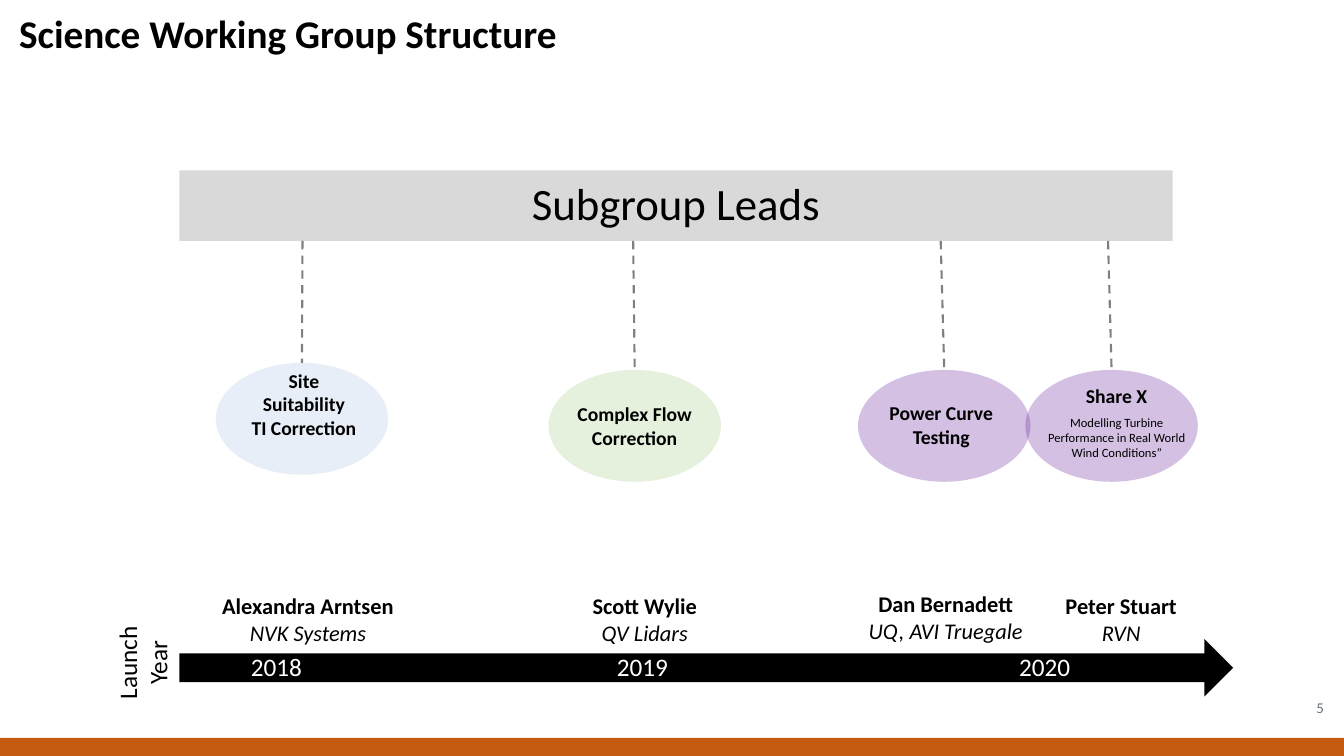
import pptx
import pptx.util
import pptx.dml.color
import pptx.enum.dml
import pptx.enum.shapes
import pptx.enum.text
from lxml import etree

Inches, Pt = pptx.util.Inches, pptx.util.Pt
SHAPE = pptx.enum.shapes.MSO_SHAPE
ALIGN = pptx.enum.text.PP_ALIGN
MIDDLE = pptx.enum.text.MSO_ANCHOR.MIDDLE

FONT = "Calibri"
COLORS = {
    "black": "000000", "white": "FFFFFF", "bar": "D9D9D9", "foot": "C55A11",
    "dash": "808080", "page": "6A737B",
    "blue": "B4C7E7", "green": "A9D18E", "purple": "7030A0",
}

TITLE = "Science Working Group Structure"
HEADING = "Subgroup Leads"
AXIS = "Launch Year"
PAGE = "5"
# oval left, oval top, colour, line start x, label box, label lines, note
GROUPS = [
    (2.14, 3.6, "blue", 3, (2.39, 3.61, 1.25, 0.81),
     ["Site", "Suitability", "TI Correction"], None),
    (5.44, 3.67, "green", 6.28, (5.45, 3.94, 1.69, 0.57),
     ["Complex Flow", "Correction"], None),
    (8.51, 3.67, "purple", 9.33, (8.49, 3.93, 1.69, 0.57),
     ["Power Curve Testing"], None),
    (10.17, 3.67, "purple", 10.99, (10.22, 3.76, 1.71, 0.88),
     ["Share X"], "Modelling Turbine Performance in Real World Wind Conditions”"),
]
# name, company, box
LEADS = [
    ("Alexandra Arntsen", "NVK Systems", (2.09, 5.83, 1.93, 0.64)),
    ("Scott Wylie", "QV Lidars", (5.15, 5.83, 2.49, 0.64)),
    ("Dan Bernadett", "UQ, AVI Truegale", (8.36, 5.81, 2.04, 0.64)),
    ("Peter Stuart", "RVN", (10.46, 5.83, 1.32, 0.64)),
]
YEARS = [("2018", 2.39), ("2019", 6.02), ("2020", 10.01)]

OVAL = (1.71, 1.11)
BAR = (1.78, 1.69, 9.85, 0.7)


def color(name):
    return pptx.dml.color.RGBColor.from_string(COLORS[name])


def add_form(slide, kind, box, fill, alpha=None):
    """Add a filled shape without outline; alpha is its opacity in percent."""
    form = slide.shapes.add_shape(kind, *map(Inches, box))
    form.shadow.inherit = False
    form.fill.solid()
    form.fill.fore_color.rgb = color(fill)
    form.line.fill.background()
    if alpha:
        tint = form._element.spPr.find(".//" + pptx.oxml.ns.qn("a:srgbClr"))
        etree.SubElement(tint, pptx.oxml.ns.qn("a:alpha"), val=str(alpha * 1000))
    return form


def add_text(slide, box, lines, align=ALIGN.CENTER, ink="black", wrap=True):
    """Add a text box; each line is (text, size, bold, italic)."""
    area = slide.shapes.add_textbox(*map(Inches, box))
    frame = area.text_frame
    frame.word_wrap = wrap
    for i, (text, size, bold, italic) in enumerate(lines):
        para = frame.add_paragraph() if i else frame.paragraphs[0]
        para.text = text
        para.alignment = align
        font = para.font
        font.name, font.size, font.bold, font.italic = FONT, Pt(size), bold, italic
        font.color.rgb = color(ink)
    return area


def add_dash(slide, start, oval):
    """Run a dashed line from the bar's lower edge to the top of an oval."""
    foot = Inches(BAR[1] + BAR[3])
    line = slide.shapes.add_connector(
        pptx.enum.shapes.MSO_CONNECTOR.STRAIGHT, Inches(start), foot,
        oval.left + oval.width // 2, oval.top)
    line.end_connect(oval, 0)
    line.line.color.rgb = color("dash")
    line.line.width = Pt(1.5)
    line.line.dash_style = pptx.enum.dml.MSO_LINE.DASH
    etree.SubElement(line._element.spPr, pptx.oxml.ns.qn("a:effectLst"))


def main():
    deck = pptx.Presentation()
    deck.slide_width, deck.slide_height = Inches(13.33), Inches(7.5)
    slide = deck.slides.add_slide(deck.slide_layouts[6])

    title = add_text(slide, (-0.2, -0.11, 11.35, 0.92),
                     [(TITLE, 28, True, False)], ALIGN.LEFT)
    title.text_frame.margin_left = Inches(0.39)
    title.text_frame.vertical_anchor = MIDDLE
    title.text_frame.paragraphs[0].line_spacing = 0.9

    add_form(slide, SHAPE.RECTANGLE, BAR, "bar")
    add_text(slide, (BAR[0], 1.69, BAR[2], 0.64), [(HEADING, 32, False, False)])

    for left, top, fill, start, box, label, note in GROUPS:
        oval = add_form(slide, SHAPE.OVAL, (left, top, *OVAL), fill, 30)
        add_dash(slide, start, oval)
        lines = [(text, 14, True, False) for text in label]
        if note:
            lines.append((note, 9, False, False))
        area = add_text(slide, box, lines)
        if note:
            area.text_frame.paragraphs[-1].space_before = Pt(5)

    for name, firm, box in LEADS:
        add_text(slide, box, [(name, 16, True, False), (firm, 16, False, True)],
                 wrap=False)

    add_form(slide, SHAPE.RIGHT_ARROW, (BAR[0], 6.34, 10.45, 0.57), "black")
    for year, left in YEARS:
        add_text(slide, (left, 6.41, 0.98, 0.4), [(year, 18, False, False)],
                 ALIGN.LEFT, "white")
    axis = add_text(slide, (0.72, 6.22, 1.39, 0.71), [(AXIS, 18, False, False)])
    axis.rotation = 270

    page = add_text(slide, (12.67, 6.82, 0.56, 0.4),
                    [(PAGE, 10.7, False, False)], ALIGN.RIGHT, "page")
    page.text_frame.vertical_anchor = MIDDLE
    add_form(slide, SHAPE.RECTANGLE, (0, 7.32, 13.33, 0.18), "foot")

    deck.save("out.pptx")


if __name__ == "__main__":
    main()
